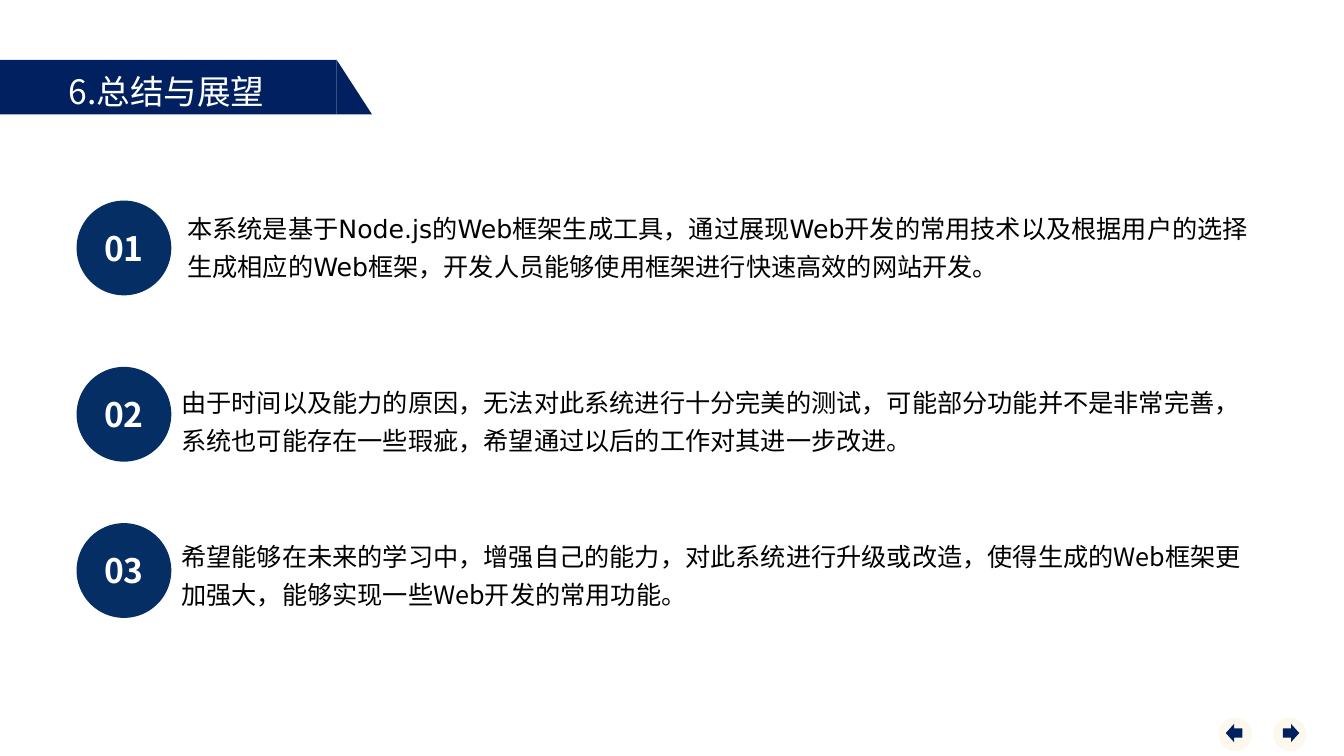
import pptx
import pptx.util
import pptx.dml.color
import pptx.enum.shapes
import pptx.enum.text
import pptx.oxml.ns
import lxml.etree

Pt = pptx.util.Pt
Shape = pptx.enum.shapes.MSO_SHAPE
Align = pptx.enum.text.PP_ALIGN
Anchor = pptx.enum.text.MSO_ANCHOR
AutoSize = pptx.enum.text.MSO_AUTO_SIZE

NAVY = "002060"
BADGE = "052E65"
CREAM = "FCF8ED"
WHITE = "FFFFFF"
BLACK = "000000"
CJK_FONT = "Noto Sans CJK SC"
LATIN_FONT = "DejaVu Sans"

POINTS = [
    ("01", 143.3, 126.7, 143.3, LATIN_FONT,
     "本系统是基于Node.js的Web框架生成工具，通过展现Web开发的常用技术以及根据用户的选择生成相应的Web框架，"
     "开发人员能够使用框架进行快速高效的网站开发。"),
    ("02", 262.1, 122.4, 267.8, CJK_FONT,
     "由于时间以及能力的原因，无法对此系统进行十分完美的测试，可能部分功能并不是非常完善，"
     "系统也可能存在一些瑕疵，希望通过以后的工作对其进一步改进。"),
    ("03", 373.7, 122.4, 378, CJK_FONT,
     "希望能够在未来的学习中，增强自己的能力，对此系统进行升级或改造，使得生成的Web框架更加强大，"
     "能够实现一些Web开发的常用功能。"),
]


def color(value):
    return pptx.dml.color.RGBColor.from_string(value)


def add_solid(page, kind, left, top, width, height, fill):
    shape = page.shapes.add_shape(kind, Pt(left), Pt(top), Pt(width), Pt(height))
    shape.shadow.inherit = False
    shape.fill.solid()
    shape.fill.fore_color.rgb = color(fill)
    shape.line.fill.background()
    return shape


def write(box, text, size, fill, font=CJK_FONT, bold=False, align=Align.LEFT, spacing=1.0):
    box.text_frame.text = text
    para = box.text_frame.paragraphs[0]
    para.alignment = align
    para.line_spacing = spacing
    span = para.runs[0]
    span.font.size = Pt(size)
    span.font.bold = bold
    span.font.name = font
    span.font.color.rgb = color(fill)
    east_asian = lxml.etree.SubElement(span.font._element, pptx.oxml.ns.qn("a:ea"))
    east_asian.set("typeface", CJK_FONT)


def add_banner(page, left, top, width, height):
    add_solid(page, Shape.RECTANGLE, left, top, width, height, NAVY)
    tail = add_solid(page, Shape.RIGHT_TRIANGLE, left + width, top, 25.2, height, NAVY)
    title = page.shapes.title
    title.left, title.top = Pt(left + 41.8), Pt(top + 4)
    title.width, title.height = Pt(177.8), Pt(36)
    title.text_frame.vertical_anchor = Anchor.TOP
    title.text_frame.word_wrap = True
    title.text_frame.auto_size = AutoSize.SHAPE_TO_FIT_TEXT
    write(title, "6.总结与展望", 24, WHITE)
    tail.element.addnext(title.element)


def add_point(page, number, badge_top, left, top, font, text):
    badge = add_solid(page, Shape.OVAL, 54.7, badge_top, 67.7, 67.7, BADGE)
    badge.text_frame.vertical_anchor = Anchor.MIDDLE
    write(badge, number, 24, WHITE, bold=True, align=Align.CENTER)
    box = page.shapes.add_textbox(Pt(left), Pt(top), Pt(779.8), Pt(61))
    box.text_frame.word_wrap = True
    box.text_frame.auto_size = AutoSize.SHAPE_TO_FIT_TEXT
    write(box, text, 18, BLACK, font, spacing=1.25)


def add_button(page, arrow, left, top, inset):
    add_solid(page, Shape.OVAL, left, top, 23.8, 23.8, CREAM)
    add_solid(page, arrow, left + inset, top + 4.5, 11.8, 13, NAVY)


def build_summary(page):
    add_banner(page, 0, 42.8, 240.5, 38.9)
    add_button(page, Shape.RIGHT_ARROW, 909.4, 512.6, 6.9)
    add_button(page, Shape.LEFT_ARROW, 870.5, 512.6, 5.1)
    for point in POINTS:
        add_point(page, *point)


def main():
    deck = pptx.Presentation()
    deck.slide_width, deck.slide_height = Pt(960), Pt(540)
    page = deck.slides.add_slide(deck.slide_layouts.get_by_name("Title Only"))
    build_summary(page)
    deck.save("out.pptx")


if __name__ == "__main__":
    main()
